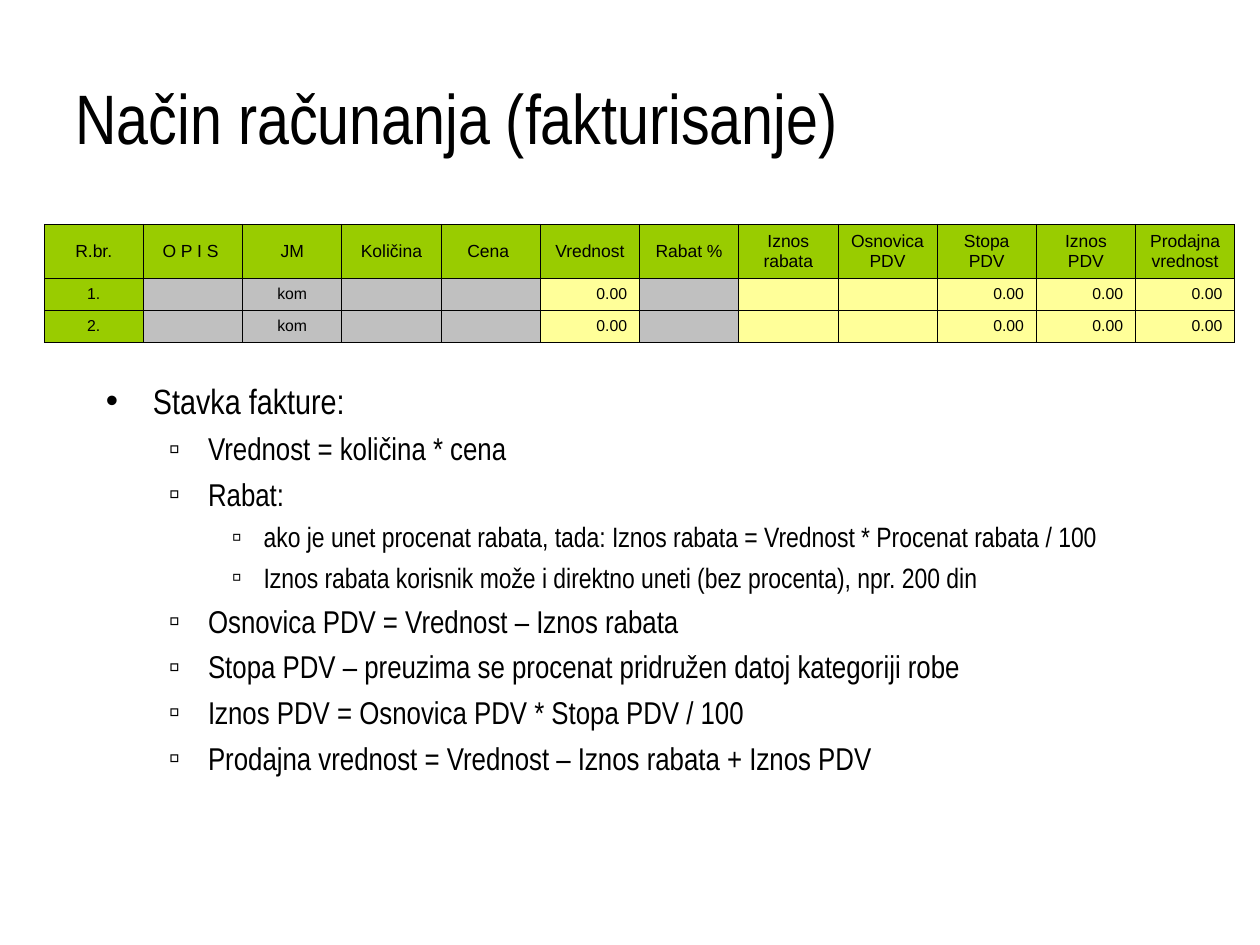
from pptx import Presentation
from pptx import util as u
from pptx.dml.color import RGBColor
from pptx.enum import text
from pptx.oxml import parse_xml
from pptx.oxml.ns import nsdecls

TITLE = "Način računanja (fakturisanje)"
HEADER = ["R.br.", "O P I S ", "JM", "Količina", "Cena ", "Vrednost", "Rabat %",
          "Iznos rabata", "Osnovica PDV", "Stopa PDV", "Iznos PDV", "Prodajna vrednost"]
ITEM = ["", "kom", "", "", "0.00", "", "", "", "0.00", "0.00", "0.00"]
ROWS = [HEADER, ["1."] + ITEM, ["2."] + ITEM]
COMPUTED = {5, 7, 8, 9, 10, 11}
RULES = [
    (0, "Stavka fakture:"),
    (1, "Vrednost = količina * cena"),
    (1, "Rabat:"),
    (2, "ako je unet procenat rabata, tada: Iznos rabata = Vrednost * Procenat rabata / 100"),
    (2, "Iznos rabata korisnik može i direktno uneti (bez procenta), npr. 200 din"),
    (1, "Osnovica PDV = Vrednost – Iznos rabata"),
    (1, "Stopa PDV – preuzima se procenat pridružen datoj kategoriji robe"),
    (1, "Iznos PDV = Osnovica PDV * Stopa PDV / 100"),
    (1, "Prodajna vrednost = Vrednost – Iznos rabata + Iznos PDV"),
]
LEVELS = [
    {"size": 20, "before": 5, "left": 0.95, "hang": 0.95, "bullet": "•"},
    {"size": 18, "before": 4.5, "left": 2.06, "hang": 0.79, "bullet": "▫"},
    {"size": 16, "before": 4, "left": 3.18, "hang": 0.64, "bullet": "▫"},
]
BLACK = RGBColor(0, 0, 0)
GREEN = RGBColor(0x99, 0xCC, 0x00)
GRAY = RGBColor(0xC0, 0xC0, 0xC0)
YELLOW = RGBColor(0xFF, 0xFF, 0x99)
COLUMN_WIDTH = 2.0
ROW_HEIGHTS = [1.09, 0.64, 0.64]


def apply(target, **values):
    for name, value in values.items():
        setattr(target, name, value)


def place(shape, left, top, width, height):
    apply(shape, left=u.Cm(left), top=u.Cm(top), width=u.Cm(width), height=u.Cm(height))


def write(para, words, font, size):
    span = para.add_run()
    span.text = words
    apply(span.font, name=font, size=u.Pt(size))
    span.font.color.rgb = BLACK


def add_borders(cell):
    properties = cell._tc.get_or_add_tcPr()
    for side in "LRTB":
        properties.append(parse_xml(
            f'<a:ln{side} {nsdecls("a")} w="{u.Pt(0.45)}"><a:solidFill>'
            f'<a:srgbClr val="{BLACK}"/></a:solidFill></a:ln{side}>'))


def add_bullet(para, level):
    properties = para._p.get_or_add_pPr()
    properties.set("marL", str(u.Cm(level["left"])))
    properties.set("indent", str(-u.Cm(level["hang"])))
    for tag in (f'buClr {nsdecls("a")}><a:srgbClr val="{BLACK}"/></a:buClr>',
                f'buFont {nsdecls("a")} typeface="Arial"/>',
                f'buChar {nsdecls("a")} char="{level["bullet"]}"/>'):
        properties.append(parse_xml("<a:" + tag))


def fill_cell(cell, words, row, column):
    size = 9 if row else 10
    add_borders(cell)
    apply(cell, vertical_anchor=text.MSO_ANCHOR.MIDDLE,
          margin_left=u.Cm(0.25), margin_right=u.Cm(0.25),
          margin_top=u.Cm(0.13), margin_bottom=u.Cm(0.13))
    cell.fill.solid()
    is_head = row == 0 or column == 0
    is_computed = column in COMPUTED
    cell.fill.fore_color.rgb = GREEN if is_head else YELLOW if is_computed else GRAY
    para = cell.text_frame.paragraphs[0]
    para.alignment = text.PP_ALIGN.RIGHT if row and is_computed else text.PP_ALIGN.CENTER
    if words:
        write(para, words, "Arial", size)
    else:
        para._p.append(parse_xml(f'<a:endParaRPr {nsdecls("a")} sz="{size * 100}"/>'))


deck = Presentation()
apply(deck, slide_width=u.Cm(25.4), slide_height=u.Cm(19.05))
page = deck.slides.add_slide(deck.slide_layouts[1])

title, body = page.shapes.title, page.placeholders[1]
place(title, 1.27, 0.76, 22.86, 3.18)
apply(title.text_frame, word_wrap=True, auto_size=text.MSO_AUTO_SIZE.NONE,
      vertical_anchor=text.MSO_ANCHOR.MIDDLE)
heading = title.text_frame.paragraphs[0]
heading.alignment = text.PP_ALIGN.LEFT
write(heading, TITLE, "Arial Narrow", 40)

frame = page.shapes.add_table(
    len(ROWS), len(HEADER), u.Cm(0.89), u.Cm(4.52),
    u.Cm(COLUMN_WIDTH * len(HEADER)), u.Cm(sum(ROW_HEIGHTS)))
invoice = frame.table
apply(invoice, first_row=False, horz_banding=False)
for column in invoice.columns:
    column.width = u.Cm(COLUMN_WIDTH)
for row, height in zip(invoice.rows, ROW_HEIGHTS):
    row.height = u.Cm(height)
for r, row in enumerate(ROWS):
    for c, words in enumerate(row):
        fill_cell(invoice.cell(r, c), words, r, c)

place(body, 1.88, 7.52, 22.86, 8.61)
apply(body.text_frame, word_wrap=True, auto_size=text.MSO_AUTO_SIZE.NONE,
      vertical_anchor=text.MSO_ANCHOR.TOP)
for index, (depth, words) in enumerate(RULES):
    para = body.text_frame.add_paragraph() if index else body.text_frame.paragraphs[0]
    level = LEVELS[depth]
    apply(para, level=depth, space_before=u.Pt(level["before"]))
    add_bullet(para, level)
    write(para, words, "Arial Narrow", level["size"])

deck.save("out.pptx")
